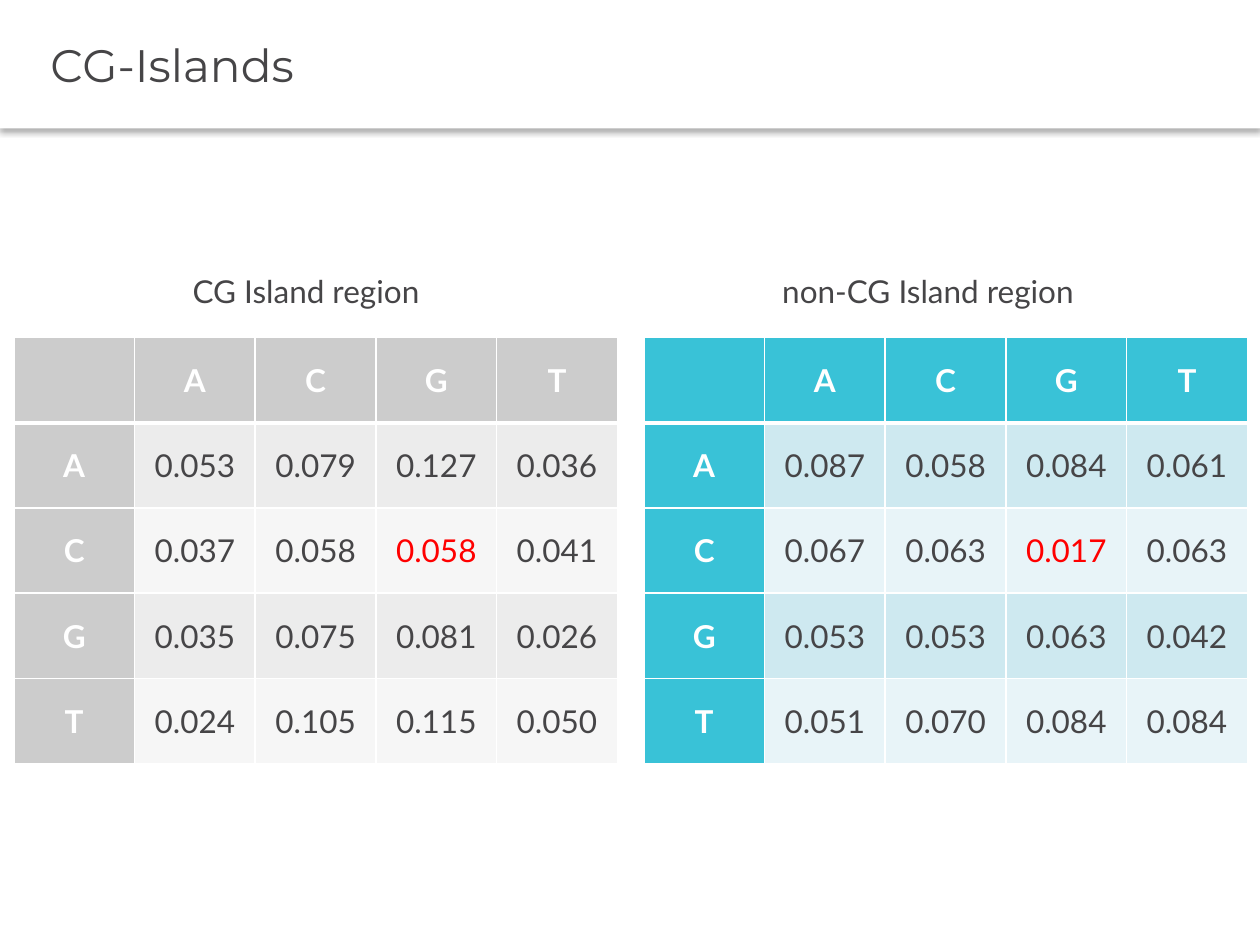
from lxml import etree
from pptx import Presentation
from pptx import util as u
from pptx.dml.color import RGBColor
from pptx.enum import shapes, text
from pptx.oxml.ns import qn

Inches = u.Inches
INK, WHITE, RED = "464547", "FFFFFF", "FF0000"
BASES = "ACGT"
CG_CELL = (2, 3)  # row C, column G
REGIONS = [
    {
        "caption": "CG Island region", "left": 0.11, "caption_left": 1.43,
        "header": "CCCCCC", "bands": ("ECECEC", "F6F6F6"),
        "rows": ["0.053 0.079 0.127 0.036", "0.037 0.058 0.058 0.041",
                 "0.035 0.075 0.081 0.026", "0.024 0.105 0.115 0.050"],
    },
    {
        "caption": "non-CG Island region", "left": 5.11, "caption_left": 6.11,
        "header": "39C2D7", "bands": ("CEE9F0", "E8F4F8"),
        "rows": ["0.087 0.058 0.084 0.061", "0.067 0.063 0.017 0.063",
                 "0.053 0.053 0.063 0.042", "0.051 0.070 0.084 0.084"],
    },
]


def color(value):
    return RGBColor.from_string(value)


def write(frame, wording, ink=INK, align=text.PP_ALIGN.LEFT, **styles):
    paragraph = frame.paragraphs[0]
    paragraph.alignment = align
    run = paragraph.add_run()
    run.text = wording
    run.font.color.rgb = color(ink)
    for key, value in {"name": "Lato", "size": u.Pt(18), **styles}.items():
        setattr(run.font, key, value)


def add_title_bar(slide, wording):
    bar = slide.shapes.add_shape(shapes.MSO_SHAPE.RECTANGLE, 0, 0, Inches(10), Inches(1.02))
    bar.fill.solid()
    bar.fill.fore_color.rgb = color(WHITE)
    bar.line.fill.background()
    drop_shadow(bar)
    bar.text_frame.margin_left = Inches(0.4)
    bar.text_frame.vertical_anchor = text.MSO_ANCHOR.MIDDLE
    write(bar.text_frame, wording, name="Montserrat", size=u.Pt(26))


def drop_shadow(shape):
    """Give the shape a soft black shadow straight below it."""
    shape.shadow.inherit = False
    effects = shape.element.spPr.find(qn("a:effectLst"))
    shadow = etree.SubElement(effects, qn("a:outerShdw"), blurRad=str(u.Pt(3.1)),
                              dist=str(u.Pt(2)), dir="5400000", rotWithShape="0")
    black = etree.SubElement(shadow, qn("a:srgbClr"), val="000000")
    etree.SubElement(black, qn("a:alpha"), val="30000")


def add_caption(slide, left, wording):
    caption = slide.shapes.add_textbox(Inches(left), Inches(2.11), Inches(2.79), Inches(0.4))
    caption.text_frame.word_wrap = True
    write(caption.text_frame, wording)


def set_borders(cell, bottom):
    """Draw white cell edges; they must come before the fill in the cell's XML."""
    properties = cell._tc.get_or_add_tcPr()
    widths = {"L": 1, "R": 1, "T": 1, "B": bottom}
    for place, (side, width) in enumerate(widths.items()):
        edge = etree.Element(qn(f"a:ln{side}"), w=str(u.Pt(width)))
        fill = etree.SubElement(edge, qn("a:solidFill"))
        etree.SubElement(fill, qn("a:srgbClr"), val=WHITE)
        properties.insert(place, edge)


def add_frequencies(slide, region):
    grid = [["", *BASES]]
    grid += [[base, *row.split()] for base, row in zip(BASES, region["rows"])]
    size = len(grid)
    table = slide.shapes.add_table(size, size, Inches(region["left"]), Inches(2.68),
                                   Inches(4.79), Inches(3.38)).table
    table.first_col = True
    for r, row in enumerate(grid):
        for c, wording in enumerate(row):
            cell = table.cell(r, c)
            heading = r == 0 or c == 0
            cell.fill.solid()
            cell.fill.fore_color.rgb = color(
                region["header"] if heading else region["bands"][(r - 1) % 2])
            # The edge below the header row is shared with the row under it.
            set_borders(cell, bottom=3 if r == 0 else 1)
            if r == 1:
                cell._tc.tcPr.find(qn("a:lnT")).set("w", str(u.Pt(3)))
            cell.vertical_anchor = text.MSO_ANCHOR.MIDDLE
            if wording:
                ink = WHITE if heading else RED if (r, c) == CG_CELL else INK
                write(cell.text_frame, wording, ink, text.PP_ALIGN.CENTER, bold=heading)


def main():
    deck = Presentation()
    deck.slide_width, deck.slide_height = Inches(10), Inches(7.5)
    slide = deck.slides.add_slide(deck.slide_layouts[6])
    add_title_bar(slide, "CG-Islands")
    for region in REGIONS:
        add_frequencies(slide, region)
    for region in REGIONS:
        add_caption(slide, region["caption_left"], region["caption"])
    deck.save("out.pptx")


if __name__ == "__main__":
    main()
